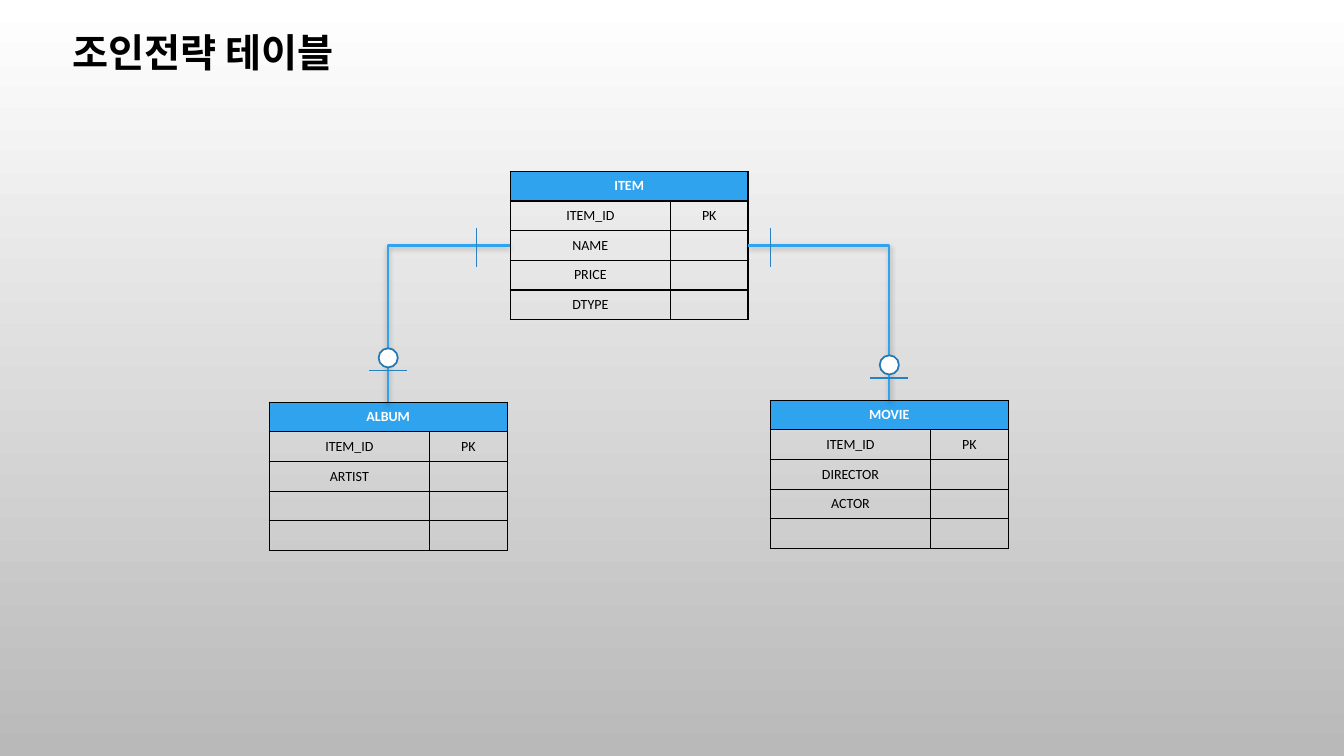
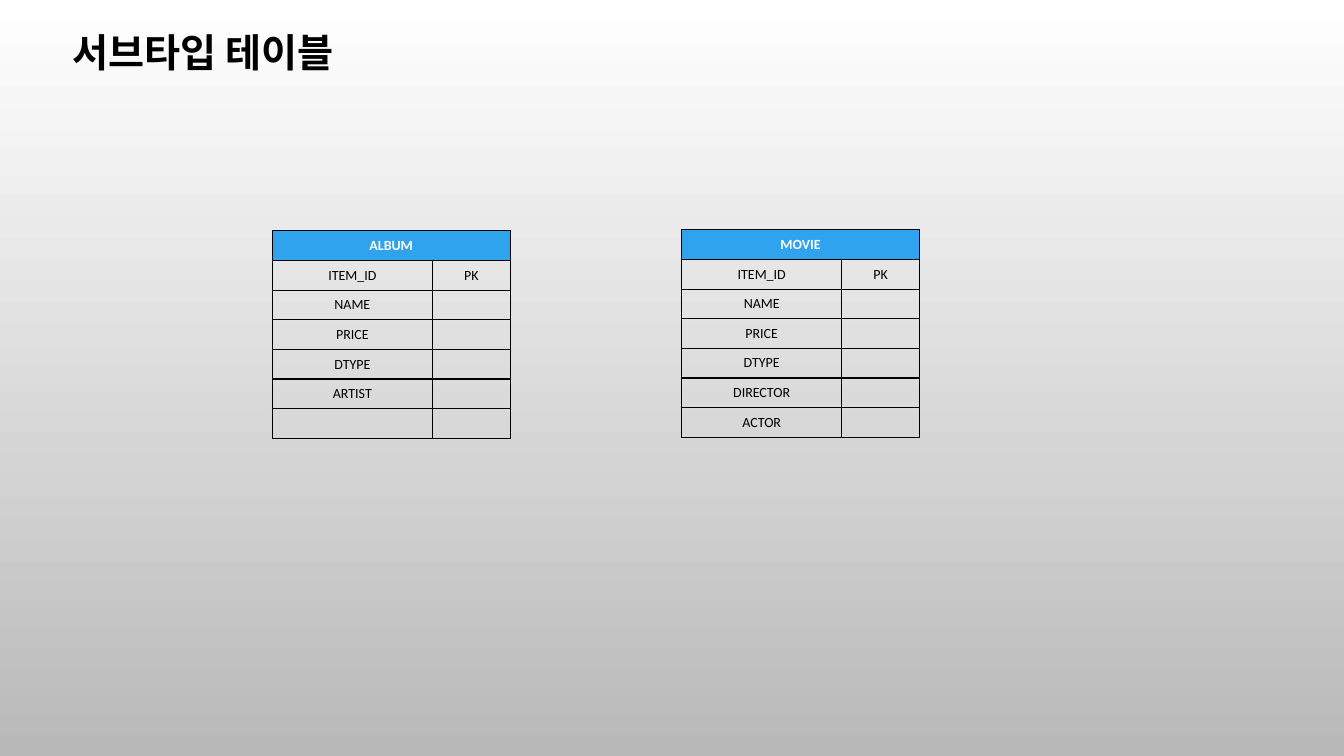
import lxml.etree
import pptx
import pptx.dml.color
import pptx.enum.shapes
import pptx.enum.text
import pptx.oxml
import pptx.oxml.ns
import pptx.util

Inches, Pt = pptx.util.Inches, pptx.util.Pt
RGBColor = pptx.dml.color.RGBColor
qn = pptx.oxml.ns.qn
CONNECTOR = pptx.enum.shapes.MSO_CONNECTOR
MIDDLE = pptx.enum.text.MSO_ANCHOR.MIDDLE
ALIGN = pptx.enum.text.PP_ALIGN

WHITE = RGBColor(0xFF, 0xFF, 0xFF)
BLACK = RGBColor(0x00, 0x00, 0x00)
GRAY = RGBColor(0xB9, 0xB9, 0xB9)
BLUE = RGBColor(0x2F, 0xA3, 0xEE)
TICK_BLUE = RGBColor(0x26, 0x83, 0xBF)
RING_BLUE = RGBColor(0x23, 0x79, 0xB0)

FONT = "Calibri"
CELL_PT = 10
COL_W = (Inches(1.59), Inches(0.77))
ROW_H = int(Inches(2.06) / 7)
TICK_HALF = Inches(0.19)
RING = Inches(0.19)
NS = 'xmlns:a="http://schemas.openxmlformats.org/drawingml/2006/main"'
BORDER = (f'<a:{{side}} {NS} w="{Pt(1)}"><a:solidFill><a:srgbClr val="{BLACK}"/>'
          '</a:solidFill></a:{side}>')
NO_EFFECT = f'<a:effectLst {NS}/>'
SHADOW = (f'<a:effectLst {NS}><a:outerShdw blurRad="{Pt(4)}" dist="{Pt(2)}" dir="5400000" '
          f'rotWithShape="0"><a:srgbClr val="{BLACK}"><a:alpha val="28000"/></a:srgbClr>'
          '</a:outerShdw></a:effectLst>')


class Deck:
    """Entity diagrams drawn in one shared style on the current slide."""

    def __init__(self):
        self.prs = pptx.Presentation()
        self.prs.slide_width, self.prs.slide_height = Inches(13.33), Inches(7.5)
        fill = self.prs.slide_master.background.fill
        fill.gradient()
        fill.gradient_angle = 270
        for stop, color in zip(fill.gradient_stops, (WHITE, GRAY)):
            stop.color.rgb = color

    def add_text(self, p, text, size, color, bold):
        r = p.add_run()
        r.text = text
        for name, value in {"name": FONT, "size": Pt(size), "bold": bold}.items():
            setattr(r.font, name, value)
        r.font.color.rgb = color

    def slide(self, title):
        self.s = self.prs.slides.add_slide(self.prs.slide_layouts[5])
        sp = self.s.shapes.title
        box = {"left": 0.62, "top": 0.23, "width": 7.93, "height": 0.57}
        for name, value in box.items():
            setattr(sp, name, Inches(value))
        tf = sp.text_frame
        tf.vertical_anchor = MIDDLE
        p = tf.paragraphs[0]
        p.alignment = ALIGN.LEFT
        self.add_text(p, title, 28, BLACK, True)

    def cell(self, cell, text, header):
        cell.vertical_anchor = MIDDLE
        if header:
            cell.fill.solid()
            cell.fill.fore_color.rgb = BLUE
        else:
            cell.fill.background()
        tc_pr = cell._tc.get_or_add_tcPr()
        for i, side in enumerate(("lnL", "lnR", "lnT", "lnB")):
            tc_pr.insert(i, pptx.oxml.parse_xml(BORDER.format(side=side)))
        p = cell.text_frame.paragraphs[0]
        p.alignment = ALIGN.CENTER
        if text:
            self.add_text(p, text, CELL_PT, WHITE if header else BLACK, header)
        else:
            end = lxml.etree.SubElement(p._p, qn("a:endParaRPr"))
            end.set("sz", str(CELL_PT * 100))

    def entity(self, x, y, name, fields, rows):
        frame = self.s.shapes.add_table(rows, 2, Inches(x), Inches(y), sum(COL_W), rows * ROW_H)
        table = frame.table
        table.first_row = table.horz_banding = False
        for col, width in zip(table.columns, COL_W):
            col.width = width
        table.cell(0, 0).merge(table.cell(0, 1))
        labels = [name, *fields] + [""] * (rows - 1 - len(fields))
        for i, label in enumerate(labels):
            self.cell(table.cell(i, 0), label, i == 0)
            self.cell(table.cell(i, 1), "PK" if i == 1 else "", i == 0)
        return frame

    def line(self, kind, start, end, color, width, effect=NO_EFFECT):
        c = self.s.shapes.add_connector(kind, *start, *end)
        c.line.color.rgb = color
        c.line.width = Pt(width)
        c._element.spPr.append(pptx.oxml.parse_xml(effect))
        return c

    def tick(self, x, y, dx, dy):
        self.line(CONNECTOR.STRAIGHT, (x - dx, y - dy), (x + dx, y + dy), TICK_BLUE, 0.75)

    def relation(self, parent, child, on_right, one_x, ring_y):
        start_x = parent.left + (parent.width if on_right else 0)
        start_y = parent.top + parent.height // 2
        x = child.left + child.width // 2
        c = self.line(CONNECTOR.ELBOW, (start_x, start_y), (x, child.top), BLUE, 1.75, SHADOW)
        c._element.spPr.find(qn("a:prstGeom")).set("prst", "bentConnector2")
        self.tick(Inches(one_x), start_y + Inches(0.02), 0, TICK_HALF)
        self.tick(x, Inches(ring_y) + Inches(0.13), TICK_HALF, 0)
        self.ring(x, Inches(ring_y))

    def ring(self, x, y):
        sp = self.s.shapes.add_shape(pptx.enum.shapes.MSO_SHAPE.OVAL,
                                     x - RING // 2, y - RING // 2, RING, RING)
        sp.shadow.inherit = False
        sp.fill.solid()
        sp.fill.fore_color.rgb = WHITE
        sp.line.color.rgb = RING_BLUE
        sp.line.width = Pt(1.25)


def main():
    deck = Deck()
    common = ["ITEM_ID", "NAME", "PRICE", "DTYPE"]

    deck.slide("조인전략 테이블")
    item = deck.entity(5.06, 1.7, "ITEM", common, 5)
    album = deck.entity(2.67, 3.99, "ALBUM", ["ITEM_ID", "ARTIST"], 5)
    movie = deck.entity(7.64, 3.97, "MOVIE", ["ITEM_ID", "DIRECTOR", "ACTOR"], 5)
    deck.relation(item, album, False, 4.73, 3.55)
    deck.relation(item, movie, True, 7.64, 3.62)

    deck.slide("서브타입 테이블")
    deck.entity(2.7, 2.29, "ALBUM", common + ["ARTIST"], 7)
    deck.entity(6.76, 2.28, "MOVIE", common + ["DIRECTOR", "ACTOR"], 7)

    deck.prs.save("out.pptx")


if __name__ == "__main__":
    main()
